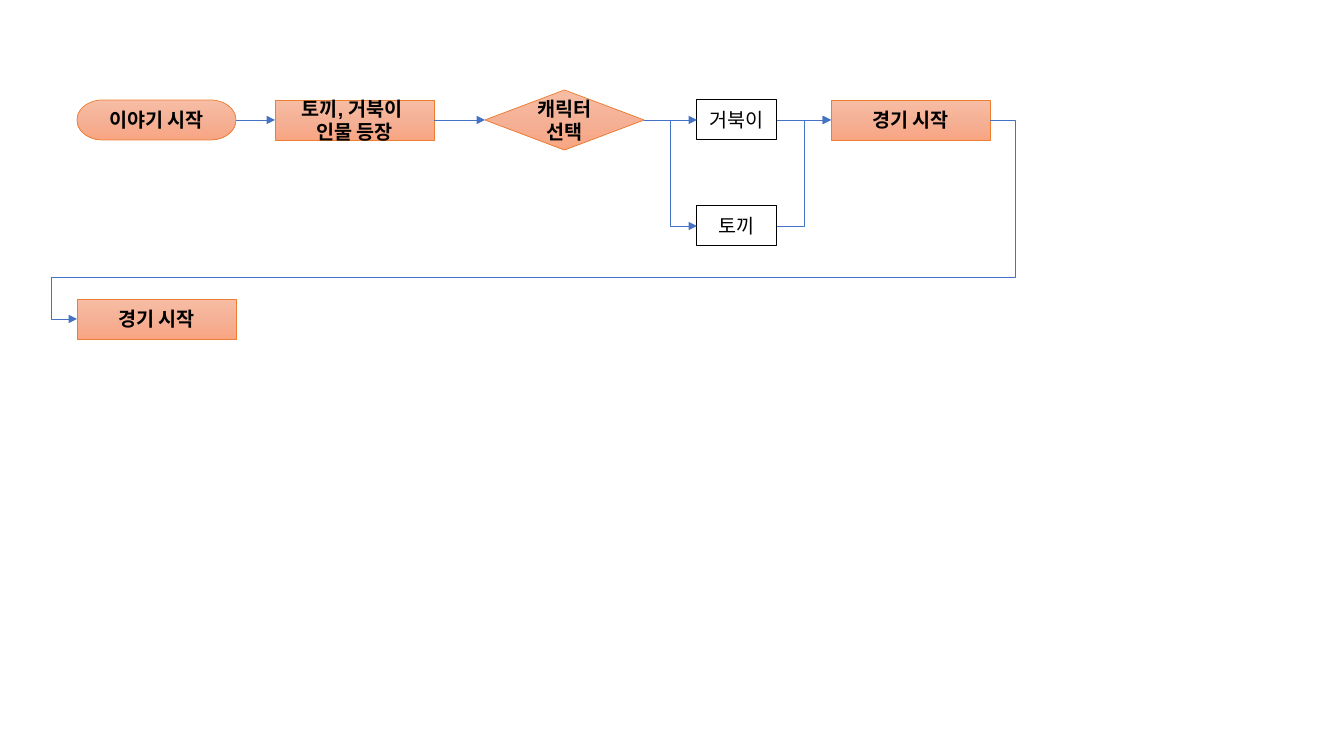
from copy import deepcopy
from dataclasses import dataclass

from pptx import Presentation
from pptx.dml.color import RGBColor
from pptx.enum.shapes import MSO_CONNECTOR as Link, MSO_SHAPE as Geo
from pptx.enum.text import MSO_ANCHOR, PP_ALIGN
from pptx.oxml.ns import qn
from pptx.oxml.xmlchemy import OxmlElement
from pptx.shapes.autoshape import Shape
from pptx.util import Pt

PX = 914400 / 100.8
BLACK = RGBColor(0x00, 0x00, 0x00)
ORANGE = RGBColor(0xED, 0x7D, 0x31)
BLUE = RGBColor(0x44, 0x72, 0xC4)
PEACH = (
    RGBColor(0xF7, 0xBD, 0xA5),
    RGBColor(0xF5, 0xB1, 0x96),
    RGBColor(0xF8, 0xA5, 0x82),
)
STEP_W, CHOICE_W, BOX_H = 159, 80, 40
ROW_1, ROW_2, ROW_3 = 120, 226, 319
LEFT_SITE, RIGHT_SITE = 1, 3


@dataclass(frozen=True)
class Node:
    name: str
    text: str
    left: int
    middle: int
    geo: Geo = Geo.RECTANGLE
    height: int = BOX_H
    is_step: bool = True


@dataclass(frozen=True)
class Arrow:
    start: str
    end: str
    kind: Link = Link.STRAIGHT
    bends: tuple[int, ...] = ()


NODES = (
    Node("story", "이야기 시작", 77, ROW_1, Geo.FLOWCHART_TERMINATOR),
    Node("cast", "토끼, 거북이 \n인물 등장", 275, ROW_1),
    Node("choice", "캐릭터 선택", 485, ROW_1, Geo.FLOWCHART_DECISION, 60),
    Node("turtle", "거북이", 697, ROW_1, is_step=False),
    Node("rabbit", "토끼", 697, ROW_2, is_step=False),
    Node("race", "경기 시작", 831, ROW_1),
    Node("race_next", "경기 시작", 77, ROW_3),
)
ARROWS = (
    Arrow("story", "cast"),
    Arrow("cast", "choice"),
    Arrow("choice", "rabbit", Link.ELBOW),
    Arrow("choice", "turtle"),
    Arrow("turtle", "race"),
    Arrow("rabbit", "race", Link.ELBOW),
    Arrow("race", "race_next", Link.ELBOW, (-2800, 79100, 102800)),
)


def px(value: float) -> int:
    return round(value * PX)


def fill_peach(s: Shape) -> None:
    s.fill.gradient()
    s.fill.gradient_angle = 270
    stop_list = s._element.spPr.find(f".//{qn('a:gsLst')}")
    stop_list.append(deepcopy(stop_list[-1]))
    for i, (stop, color) in enumerate(zip(s.fill.gradient_stops, PEACH)):
        stop.position = i / 2
        stop.color.rgb = color


def draw_node(shapes, node: Node) -> Shape:
    width = STEP_W if node.is_step else CHOICE_W
    top = node.middle - node.height / 2
    s = shapes.add_shape(node.geo, px(node.left), px(top), px(width), px(node.height))
    s.shadow.inherit = False
    if node.is_step:
        fill_peach(s)
    else:
        s.fill.background()
    s.line.color.rgb = ORANGE if node.is_step else BLACK
    s.line.width = Pt(0.5 if node.is_step else 0.75)
    tf = s.text_frame
    tf.word_wrap = True
    tf.vertical_anchor = MSO_ANCHOR.MIDDLE
    tf.text = node.text
    for p in tf.paragraphs:
        p.alignment = PP_ALIGN.CENTER
        for r in p.runs:
            r.font.name = "Arial" if node.is_step else "Noto Sans CJK KR"
            r.font.size = Pt(14)
            r.font.bold = node.is_step
            r.font.color.rgb = BLACK
    return s


def draw_arrow(shapes, arrow: Arrow, boxes: dict[str, Shape]) -> None:
    c = shapes.add_connector(arrow.kind, 0, 0, 0, 0)
    c.begin_connect(boxes[arrow.start], RIGHT_SITE)
    c.end_connect(boxes[arrow.end], LEFT_SITE)
    c.line.color.rgb = BLUE
    c.line.width = Pt(0.5)
    tail = OxmlElement("a:tailEnd")
    tail.set("type", "triangle")
    c.line._get_or_add_ln().append(tail)
    sp_pr = c._element.spPr
    sp_pr.append(OxmlElement("a:effectLst"))
    if arrow.bends:
        geometry = sp_pr.find(qn("a:prstGeom"))
        geometry.set("prst", "bentConnector5")
        guides = geometry.find(qn("a:avLst"))
        for i, bend in enumerate(arrow.bends, 1):
            guide = OxmlElement("a:gd")
            guide.set("name", f"adj{i}")
            guide.set("fmla", f"val {bend}")
            guides.append(guide)


def main() -> None:
    prs = Presentation()
    prs.slide_width, prs.slide_height = px(1344), px(756)
    shapes = prs.slides.add_slide(prs.slide_layouts[6]).shapes
    boxes = {node.name: draw_node(shapes, node) for node in NODES}
    for arrow in ARROWS:
        draw_arrow(shapes, arrow, boxes)
    prs.save("out.pptx")


main()
